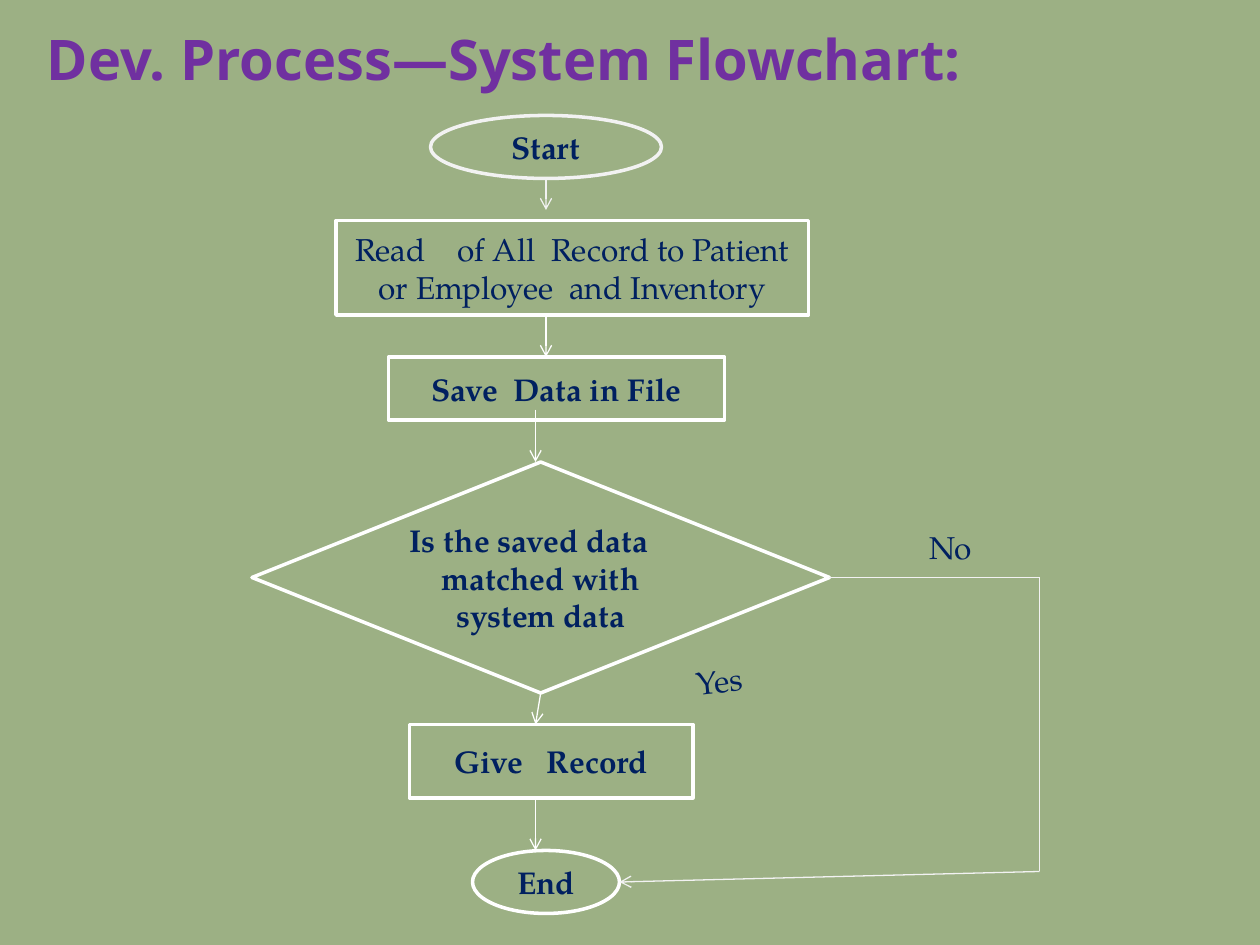
from dataclasses import dataclass

import lxml.etree
import pptx
import pptx.dml.color
import pptx.enum.shapes
import pptx.enum.text
import pptx.oxml.ns
import pptx.util

SHAPE = pptx.enum.shapes.MSO_SHAPE
BOTTOM, RIGHT = 2, 3


@dataclass(frozen=True)
class Theme:
    ground: str = "9CB084"
    heading: str = "7030A0"
    ink: str = "002060"
    white: str = "FFFFFF"
    pale: str = "F2F2F2"
    heading_font: str = "Noto Sans"
    body_font: str = "TeX Gyre Pagella"
    heading_size: int = 32
    body_size: int = 18
    outline: float = 2
    arrow: float = 0.75


def px(length):
    return pptx.util.Emu(length * 7620)


def rgb(code):
    return pptx.dml.color.RGBColor.from_string(code)


class Flowchart:
    def __init__(self, slide, theme):
        self.slide = slide
        self.theme = theme
        slide.background.fill.solid()
        slide.background.fill.fore_color.rgb = rgb(theme.ground)

    def add_text(self, frame, text, font, size, color, bold):
        frame.word_wrap = True
        frame.vertical_anchor = pptx.enum.text.MSO_ANCHOR.MIDDLE
        paragraph = frame.paragraphs[0]
        paragraph.alignment = pptx.enum.text.PP_ALIGN.CENTER
        run = paragraph.add_run()
        run.text = text
        run.font.name = font
        run.font.size = pptx.util.Pt(size)
        run.font.color.rgb = rgb(color)
        run.font.bold = bold

    def title(self, text, left, top, width, height):
        heading = self.slide.shapes.title
        heading.left, heading.top = px(left), px(top)
        heading.width, heading.height = px(width), px(height)
        self.add_text(heading.text_frame, text, self.theme.heading_font,
                      self.theme.heading_size, self.theme.heading, True)

    def step(self, kind, text, left, top, width, height, outline=None, bold=True):
        box = self.slide.shapes.add_shape(
            kind, px(left), px(top), px(width), px(height))
        box.shadow.inherit = False
        box.fill.solid()
        box.fill.fore_color.rgb = rgb(self.theme.ground)
        box.line.color.rgb = rgb(outline or self.theme.white)
        box.line.width = pptx.util.Pt(self.theme.outline)
        self.add_text(box.text_frame, text, self.theme.body_font,
                      self.theme.body_size, self.theme.ink, bold)
        return box

    def label(self, text, left, top, width, height):
        return self.step(SHAPE.RECTANGLE, text, left, top, width, height,
                         outline=self.theme.ground, bold=False)

    def link(self, start, end, color=None, arrow=True):
        line = self.slide.shapes.add_connector(
            pptx.enum.shapes.MSO_CONNECTOR.STRAIGHT, *map(px, start + end))
        line.line.color.rgb = rgb(color or self.theme.white)
        line.line.width = pptx.util.Pt(self.theme.arrow)
        qn = pptx.oxml.ns.qn
        properties = line.element.spPr
        if arrow:
            lxml.etree.SubElement(
                properties.find(qn("a:ln")), qn("a:tailEnd"), type="arrow")
        lxml.etree.SubElement(properties, qn("a:effectLst"))
        return line


def main():
    deck = pptx.Presentation()
    deck.slide_width, deck.slide_height = px(1200), px(900)
    theme = Theme()
    chart = Flowchart(deck.slides.add_slide(deck.slide_layouts[5]), theme)

    chart.title("Dev. Process—System Flowchart:", -60, -20, 1080, 150)
    chart.step(SHAPE.OVAL, "Start", 410, 110, 220, 60, outline=theme.pale)
    chart.link((520, 170), (520, 200), theme.pale)
    chart.step(SHAPE.RECTANGLE,
               "Read    of All  Record to Patient or Employee  and Inventory",
               320, 210, 450, 90, bold=False)
    chart.link((520, 300), (520, 340))
    chart.step(SHAPE.RECTANGLE, "Save  Data in File", 370, 340, 320, 60)
    decision = chart.step(SHAPE.FLOWCHART_DECISION,
                          "Is the saved data     matched with  system data",
                          240, 440, 550, 220)
    chart.link((510, 390), (510, 440))
    yes_branch = chart.link((515, 660), (510, 690))
    yes_branch.begin_connect(decision, BOTTOM)
    chart.step(SHAPE.RECTANGLE, "Give   Record", 390, 690, 270, 70)
    chart.link((510, 760), (510, 810))
    chart.step(SHAPE.OVAL, "End", 450, 810, 140, 60)

    yes = chart.label("Yes", 622, 620, 127, 56)
    yes.rotation = -5.9
    no_branch = chart.link((790, 550), (990, 550), theme.pale, arrow=False)
    no_branch.begin_connect(decision, RIGHT)
    chart.link((990, 550), (990, 830), theme.pale, arrow=False)
    chart.link((990, 830), (590, 840), theme.pale)
    chart.label("No", 842, 499, 127, 44)

    deck.save("out.pptx")


if __name__ == "__main__":
    main()
